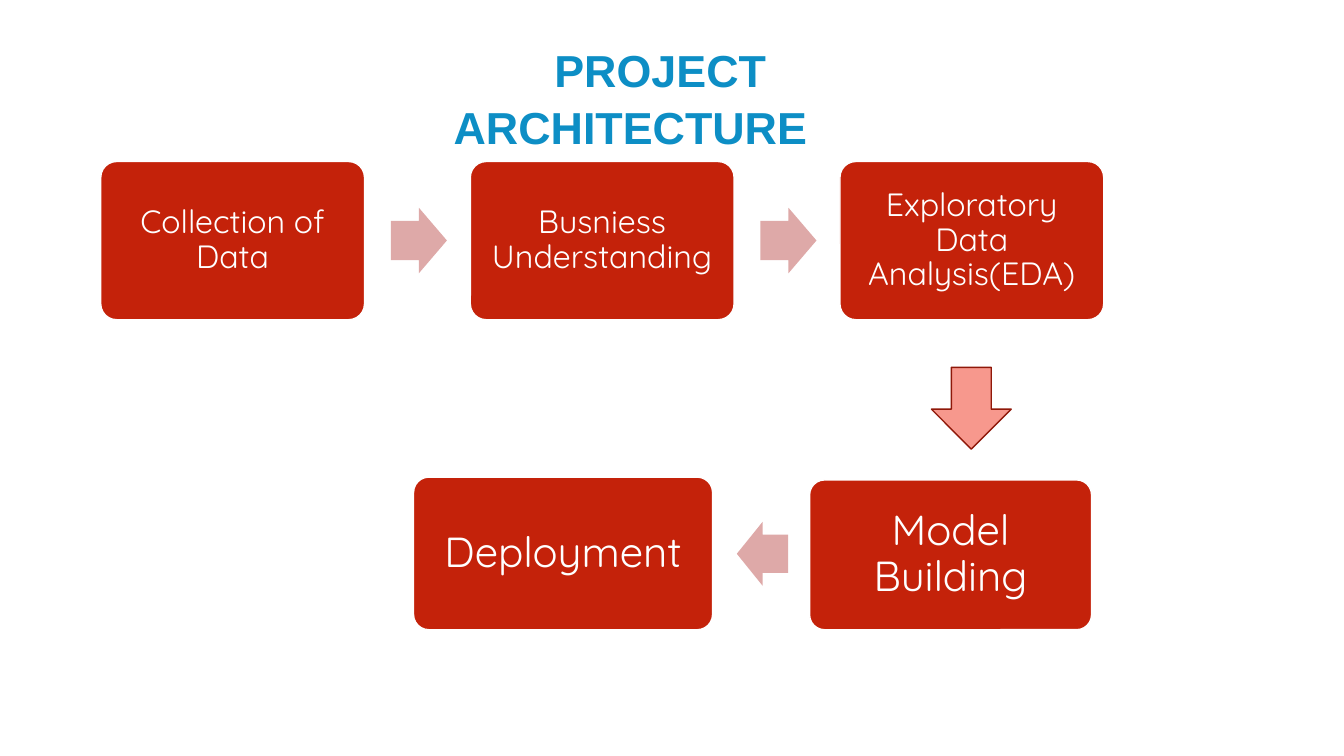
import pptx
import pptx.util
import pptx.dml.color
import pptx.enum.shapes
import pptx.enum.text
from dataclasses import dataclass

Pt = pptx.util.Pt
Kind = pptx.enum.shapes.MSO_SHAPE
Align = pptx.enum.text.PP_ALIGN
Anchor = pptx.enum.text.MSO_ANCHOR


@dataclass(frozen=True)
class Theme:
    blue: str = "0D8EC5"
    red: str = "C4220A"
    pink: str = "DEA9A8"
    coral: str = "F7988D"
    dark: str = "8F1809"
    white: str = "FFFFFF"
    head: str = "Arial"
    body: str = "Quicksand"
    title: int = 32
    step: int = 23
    large: int = 30


THEME = Theme()


def color(code):
    return pptx.dml.color.RGBColor.from_string(code)


def write(shape, text, *, font, size, ink, bold=False, align=Align.LEFT,
          anchor=Anchor.TOP, space=1.0, inset=(7.2, 3.6), indent=0):
    frame = shape.text_frame
    frame.word_wrap = True
    frame.auto_size = pptx.enum.text.MSO_AUTO_SIZE.NONE
    frame.vertical_anchor = anchor
    frame.margin_left = frame.margin_right = Pt(inset[0])
    frame.margin_top = frame.margin_bottom = Pt(inset[1])
    para = frame.paragraphs[0]
    para.alignment = align
    para.line_spacing = space
    if indent:
        para._p.get_or_add_pPr().set("indent", str(Pt(indent)))
    run = para.add_run()
    run.text = text
    run.font.name = font
    run.font.size = Pt(size)
    run.font.bold = bold
    run.font.color.rgb = color(ink)


def draw(slide, kind, rect, fill, line=None, adjust=()):
    shape = slide.shapes.add_shape(kind, *map(Pt, rect))
    shape.shadow.inherit = False
    shape.fill.solid()
    shape.fill.fore_color.rgb = color(fill)
    if line:
        shape.line.color.rgb = color(line)
        shape.line.width = Pt(1)
    else:
        shape.line.fill.background()
    for index, value in enumerate(adjust):
        shape.adjustments[index] = value
    return shape


def add_step(slide, text, rect, size, inset):
    box = draw(slide, Kind.ROUNDED_RECTANGLE, rect, THEME.red, THEME.white, (0.1,))
    write(box, text, font=THEME.body, size=size, ink=THEME.white,
          align=Align.CENTER, anchor=Anchor.MIDDLE, space=0.9,
          inset=(inset, inset))


def add_arrow(slide, kind, rect):
    draw(slide, kind, rect, THEME.pink, adjust=(0.6, 0.5))


def add_title(slide, text):
    title = slide.shapes.title
    title.left, title.top, title.width, title.height = map(Pt, (316.8, 25.2, 348.5, 85))
    write(title, text, font=THEME.head, size=THEME.title, ink=THEME.blue,
          bold=True, space=1.05, indent=72)


def main():
    deck = pptx.Presentation()
    deck.slide_width, deck.slide_height = Pt(960), Pt(540)
    slide = deck.slides.add_slide(deck.slide_layouts[5])
    add_title(slide, "PROJECT ARCHITECTURE")

    steps = ("Collection of Data", "Busniess Understanding",
             "Exploratory Data Analysis(EDA)")
    for index, text in enumerate(steps):
        left = 72 + 264 * index
        if index:
            add_arrow(slide, Kind.RIGHT_ARROW, (left - 56.8, 148.4, 40, 46.8))
        add_step(slide, text, (left, 115.4, 188.4, 113), THEME.step, 7.2)

    add_step(slide, "Deployment", (295.4, 340.8, 213.6, 109), THEME.large, 8.6)
    add_arrow(slide, Kind.LEFT_ARROW, (526.3, 372.8, 36.7, 45.5))
    add_step(slide, "Model Building", (578.3, 342.8, 201.4, 107), THEME.large, 8.6)
    draw(slide, Kind.DOWN_ARROW, (665.3, 262.4, 57, 58.4), THEME.coral,
         THEME.dark, (0.5, 0.5))
    deck.save("out.pptx")


if __name__ == "__main__":
    main()
